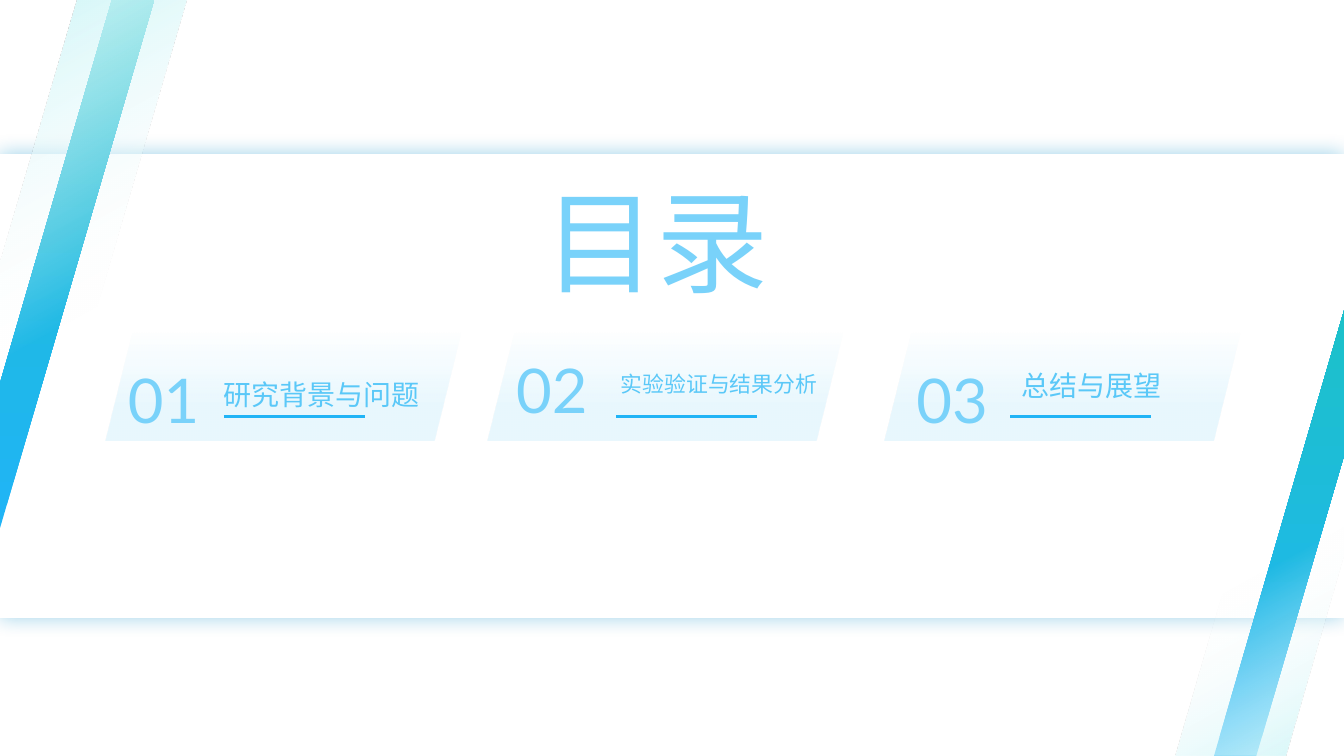
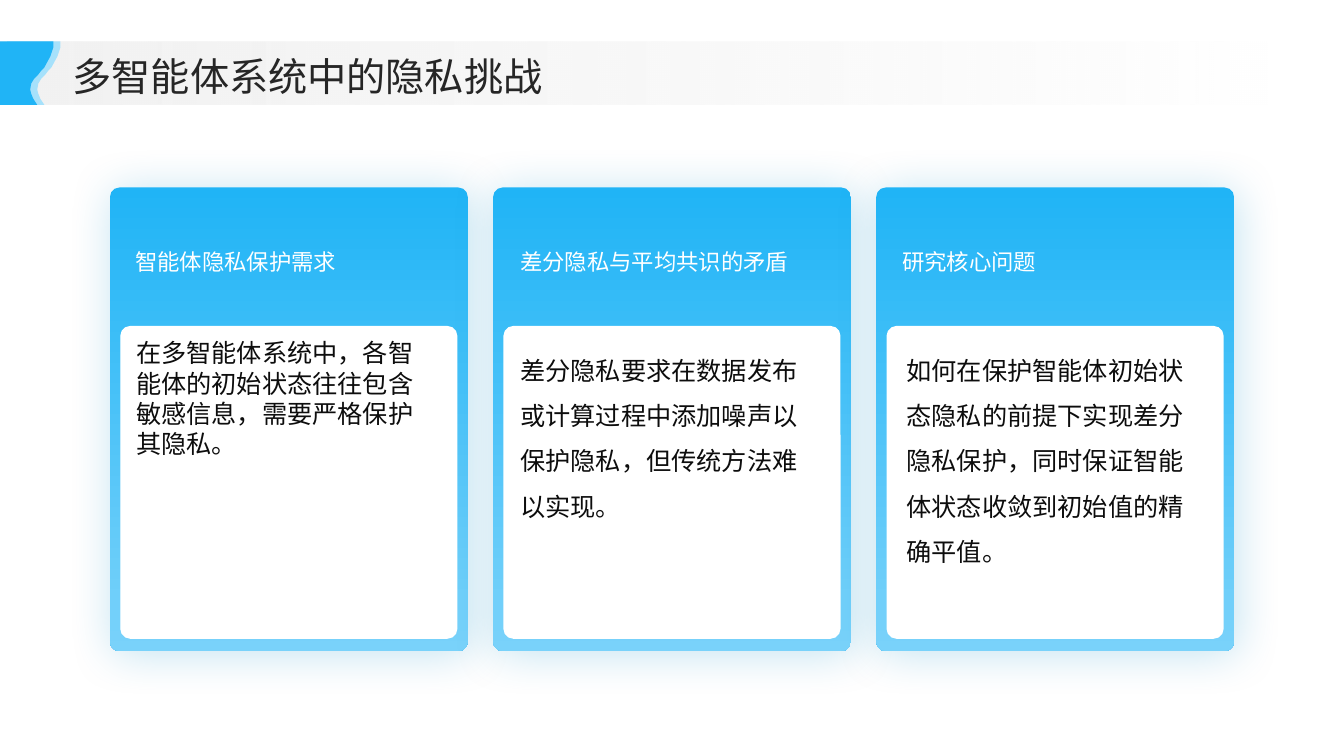
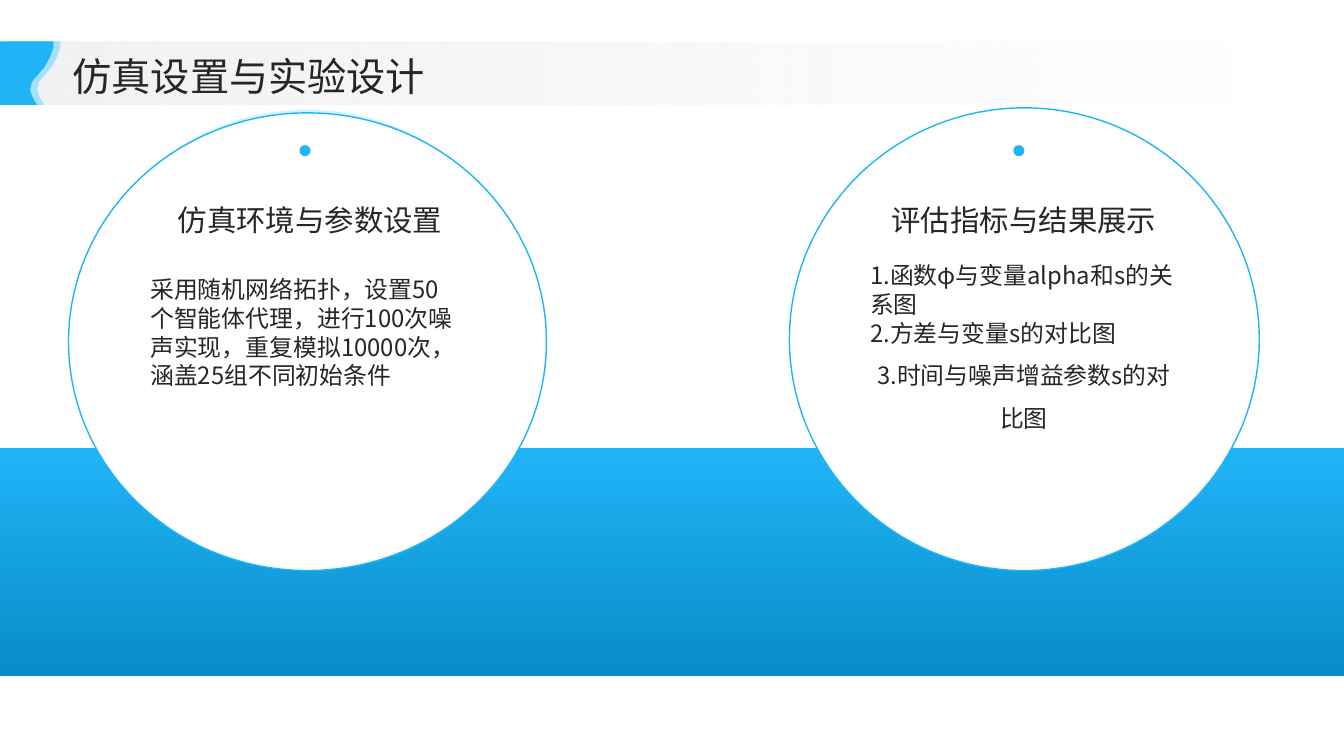
from pptx import Presentation
from pptx.dml.color import RGBColor
from pptx.enum.shapes import MSO_CONNECTOR as Connector, MSO_SHAPE as Preset
from pptx.enum.text import MSO_ANCHOR as Anchor, MSO_AUTO_SIZE as AutoSize, PP_ALIGN as Align
from pptx.oxml import parse_xml
from pptx.oxml.ns import nsdecls, qn
from pptx.oxml.xmlchemy import OxmlElement
from pptx.util import Inches, Pt

BLUE = RGBColor(0x20, 0xB4, 0xF6)
SKY = RGBColor(0x79, 0xD2, 0xFA)
LABEL_BLUE = RGBColor(0x5A, 0xC8, 0xF8)
DEEP_BLUE = RGBColor(0x08, 0x8D, 0xC8)
TEAL = RGBColor(0x1C, 0xC1, 0xC9)
MINT = RGBColor(0xCE, 0xF6, 0xF8)
PALE_BLUE = RGBColor(0xA6, 0xE1, 0xFB)
HALO_BLUE = RGBColor(0xD2, 0xF0, 0xFD)
GRAY = RGBColor(0xF2, 0xF2, 0xF2)
WHITE = RGBColor(0xFF, 0xFF, 0xFF)
INK = RGBColor(0x26, 0x26, 0x26)
BLACK = RGBColor(0x0D, 0x0D, 0x0D)

LATIN = "Lato"
CJK = "Noto Sans CJK SC"
WIDTH, HEIGHT = 13.33, 7.5
TITLE_ONLY = 5
NO_INSETS = (0, 0)
INSETS = (0.1, 0.05)

AGENDA_TITLE = "目录"
AGENDA = [
    {"number": "01", "label": "研究背景与问题", "size": 20, "panel": 1.05,
     "number_at": (1.17, 3.47), "label_at": (2.12, 3.49), "line_at": (2.22, 4.13)},
    {"number": "02", "label": "实验验证与结果分析", "size": 15.6, "panel": 4.84,
     "number_at": (5.02, 3.37), "label_at": (6.06, 3.4), "line_at": (6.11, 4.13)},
    {"number": "03", "label": "总结与展望", "size": 20, "panel": 8.77,
     "number_at": (8.99, 3.47), "label_at": (10.03, 3.4), "line_at": (10.02, 4.13)},
]
BARS = [
    [(1.11, 0), (1.53, 0), (0, 5.24), (0, 3.8)],
    [(13.33, 3.08), (13.33, 4.52), (12.46, 7.5), (12.04, 7.5)],
]
VEILS = [
    ([(12.36, 5.08), (13.33, 5.08), (13.33, 5.49), (13.3, 5.59), (12.75, 7.5), (11.66, 7.5)], 61),
    ([(0.76, 0), (1.85, 0), (0.61, 4.24), (0, 4.24), (0, 2.59)], 241),
]

CHALLENGE_TITLE = "多智能体系统中的隐私挑战"
CHALLENGES = [
    ("智能体隐私保护需求", 1.34,
     "在多智能体系统中，各智能体的初始状态往往包含敏感信息，需要严格保护其隐私。", 1.35, 1),
    ("差分隐私与平均共识的矛盾", 5.16,
     "差分隐私要求在数据发布或计算过程中添加噪声以保护隐私，但传统方法难以实现。", 5.16, 1.5),
    ("研究核心问题", 8.95,
     "如何在保护智能体初始状态隐私的前提下实现差分隐私保护，同时保证智能体状态收敛到初始值的精确平值。",
     8.99, 1.5),
]

SIMULATION_TITLE = "仿真设置与实验设计"
LOOSE = (Align.CENTER, 1.5)
TIGHT = (Align.LEFT, 1)
SIMULATION = [
    {"heading": "仿真环境与参数设置", "heading_left": 1.55, "circle": (0.68, 1.12, 4.74, 4.54),
     "dot": 2.97, "body_at": (1.49, 2.73),
     "body": [("采用随机网络拓扑，设置50个智能体代理，进行100次噪声实现，重复模拟10000次，涵盖25组不同初始条件", TIGHT)]},
    {"heading": "评估指标与结果展示", "heading_left": 8.63, "circle": (7.83, 1.07, 4.66, 4.59),
     "dot": 10.05, "body_at": (8.63, 2.59),
     "body": [("1.函数φ与变量alpha和s的关系图", TIGHT),
              ("2.方差与变量s的对比图", TIGHT),
              ("3.时间与噪声增益参数s的对比图", LOOSE)]},
]

WAVE_EDGE = [
    (0.53, 0.41), (0.53, 0.43), (0.53, 0.47), (0.5, 0.56), (0.44, 0.67), (0.41, 0.7),
    (0.38, 0.74), (0.34, 0.78), (0.31, 0.83), (0.3, 0.89), (0.31, 0.93), (0.33, 0.98),
    (0.37, 1.04),
]


def place(shape, box):
    shape.left, shape.top, shape.width, shape.height = map(Inches, box)


def paint(shape, color=None, gradient=None, angle=90, line=None):
    shape.shadow.inherit = False
    if gradient:
        shape.fill.gradient()
        shape.fill.gradient_angle = (360 - angle) % 360
        elements = shape.element.spPr.iter(qn("a:gs"))
        for stop, element, (position, stop_color, opacity) in zip(
                shape.fill.gradient_stops, elements, gradient):
            stop.position = position / 100
            stop.color.rgb = stop_color
            if opacity < 100:
                alpha = OxmlElement("a:alpha")
                alpha.set("val", str(opacity * 1000))
                element[0].append(alpha)
    else:
        shape.fill.solid()
        shape.fill.fore_color.rgb = color
    if line:
        shape.line.color.rgb = line
        shape.line.width = Pt(1)
    else:
        shape.line.fill.background()
    return shape


def add_preset(slide, preset, box, radius=None, **style):
    shape = slide.shapes.add_shape(preset, *map(Inches, box))
    if radius is not None:
        shape.adjustments[0] = radius
    return paint(shape, **style)


def add_outline(slide, points, **style):
    corners = [(Inches(x), Inches(y)) for x, y in points]
    builder = slide.shapes.build_freeform(*corners[0])
    builder.add_line_segments(corners[1:], close=True)
    return paint(builder.convert_to_shape(), **style)


def add_glow(shape, opacity, blur, distance=0, direction=0):
    shadow = parse_xml(
        f'<a:outerShdw {nsdecls("a")} blurRad="{Pt(blur)}" dist="{Pt(distance)}" '
        f'dir="{direction * 60000}" algn="ctr" rotWithShape="0"><a:srgbClr val="{DEEP_BLUE}">'
        f'<a:alpha val="{opacity * 1000}"/></a:srgbClr></a:outerShdw>')
    shape.element.spPr.find(qn("a:effectLst")).append(shadow)


def write(shape, paragraphs, size, color, font=CJK, anchor=Anchor.TOP, insets=NO_INSETS):
    frame = shape.text_frame
    frame.word_wrap = True
    frame.auto_size = AutoSize.NONE
    frame.vertical_anchor = anchor
    frame.margin_left = frame.margin_right = Inches(insets[0])
    frame.margin_top = frame.margin_bottom = Inches(insets[1])
    frame.text = "\n".join(text for text, _ in paragraphs)
    for paragraph, (_, (alignment, spacing)) in zip(frame.paragraphs, paragraphs):
        paragraph.alignment = alignment
        paragraph.line_spacing = spacing
        for run in paragraph.runs:
            run.font.size = Pt(size)
            run.font.name = font
            run.font.color.rgb = color
            east_asian = OxmlElement("a:ea")
            east_asian.set("typeface", CJK)
            run.font._element.append(east_asian)


def add_text(slide, box, paragraphs, size, color, **style):
    write(slide.shapes.add_textbox(*map(Inches, box)), paragraphs, size, color, **style)


def add_rule(slide, left, top, length):
    rule = slide.shapes.add_connector(
        Connector.STRAIGHT, Inches(left), Inches(top), Inches(left + length), Inches(top))
    rule.line.color.rgb = BLUE
    rule.line.width = Pt(2)
    rule.element.spPr.append(OxmlElement("a:effectLst"))


def add_title(slide, box, text, size, color, layout, **style):
    title = slide.shapes.title
    place(title, box)
    write(title, [(text, layout)], size, color, **style)
    title.element.getparent().append(title.element)


def add_header(slide, text):
    add_preset(slide, Preset.RECTANGLE, (0, 0.41, 12.6, 0.63),
               gradient=[(0, GRAY, 0), (99, GRAY, 100)], angle=180)
    for shift, color in ((0.07, PALE_BLUE), (0, BLUE)):
        wave = [(0, 0.41)] + WAVE_EDGE + [(0, 1.04)]
        add_outline(slide, [(x + shift, y) for x, y in wave], color=color)
    add_title(slide, (0.72, 0.47, 11.88, 0.51), text, 28, INK,
              (Align.LEFT, 1.1), anchor=Anchor.MIDDLE)


def build_agenda(slide):
    band = add_preset(slide, Preset.RECTANGLE, (0, 1.53, WIDTH, 4.6), color=WHITE)
    add_glow(band, 40, 15)
    add_title(slide, (4.19, 1.52, 4.64, 1.34), AGENDA_TITLE, 80, SKY,
              (Align.CENTER, 1.1), font=LATIN, insets=(0.11, 0.06))
    for bar in BARS:
        add_outline(slide, bar, gradient=[(0, BLUE, 100), (100, TEAL, 100)], angle=270)
    for veil, angle in VEILS:
        add_outline(slide, veil, gradient=[(32, WHITE, 0), (100, MINT, 100)], angle=angle)
    for item in AGENDA:
        add_preset(slide, Preset.PARALLELOGRAM, (item["panel"], 3.29, 3.53, 1.08),
                   gradient=[(0, BLUE, 0), (70, BLUE, 10)])
        add_rule(slide, *item["line_at"], 1.4)
        add_text(slide, (*item["number_at"], 1.03, 0.77), [(item["number"], (Align.LEFT, 1.1))],
                 44, SKY, font=LATIN, insets=INSETS)
        add_text(slide, (*item["label_at"], 2.22, 0.74), [(item["label"], (Align.LEFT, 1.3))],
                 item["size"], LABEL_BLUE, font=LATIN, anchor=Anchor.MIDDLE, insets=INSETS)


def build_challenges(slide):
    add_header(slide, CHALLENGE_TITLE)
    lefts = [1.09 + 3.8 * index for index in range(len(CHALLENGES))]
    for left in lefts:
        card = add_preset(slide, Preset.ROUNDED_RECTANGLE, (left, 1.86, 3.55, 4.6), 0.027,
                          gradient=[(0, BLUE, 100), (100, SKY, 100)])
        add_glow(card, 24, 33, 3, 45)
    for left, (heading, heading_left, body, body_left, spacing) in zip(lefts, CHALLENGES):
        add_preset(slide, Preset.ROUNDED_RECTANGLE, (left + 0.11, 3.24, 3.33, 3.09), 0.03,
                   color=WHITE, line=WHITE)
        add_text(slide, (heading_left, 2.12, 3.03, 0.95), [(heading, TIGHT)],
                 16, WHITE, anchor=Anchor.MIDDLE)
        add_text(slide, (body_left, 3.35 if spacing == 1 else 3.37, 2.95, 2.71),
                 [(body, (Align.LEFT, spacing))], 18, BLACK)


def build_simulation(slide):
    add_preset(slide, Preset.RECTANGLE, (0, 0, WIDTH, HEIGHT), color=WHITE)
    add_header(slide, SIMULATION_TITLE)
    add_preset(slide, Preset.RECTANGLE, (0, 4.44, WIDTH, 2.27),
               gradient=[(0, BLUE, 100), (100, DEEP_BLUE, 100)])
    add_preset(slide, Preset.OVAL, (0.72, 1.09, 4.65, 4.57), color=HALO_BLUE)
    for topic in SIMULATION:
        add_preset(slide, Preset.OVAL, topic["circle"], color=WHITE, line=BLUE)
        add_preset(slide, Preset.OVAL, (topic["dot"], 1.44, 0.11, 0.11), color=BLUE)
        add_text(slide, (topic["heading_left"], 2, 3.05, 0.33),
                 [(topic["heading"], (Align.CENTER, 1.1))], 21, INK, anchor=Anchor.MIDDLE)
        add_text(slide, (*topic["body_at"], 3.05, 2.32), topic["body"], 17, INK)


def main():
    presentation = Presentation()
    presentation.slide_width = Inches(WIDTH)
    presentation.slide_height = Inches(HEIGHT)
    layout = presentation.slide_layouts[TITLE_ONLY]
    for build in (build_agenda, build_challenges, build_simulation):
        build(presentation.slides.add_slide(layout))
    presentation.save("out.pptx")


if __name__ == "__main__":
    main()
